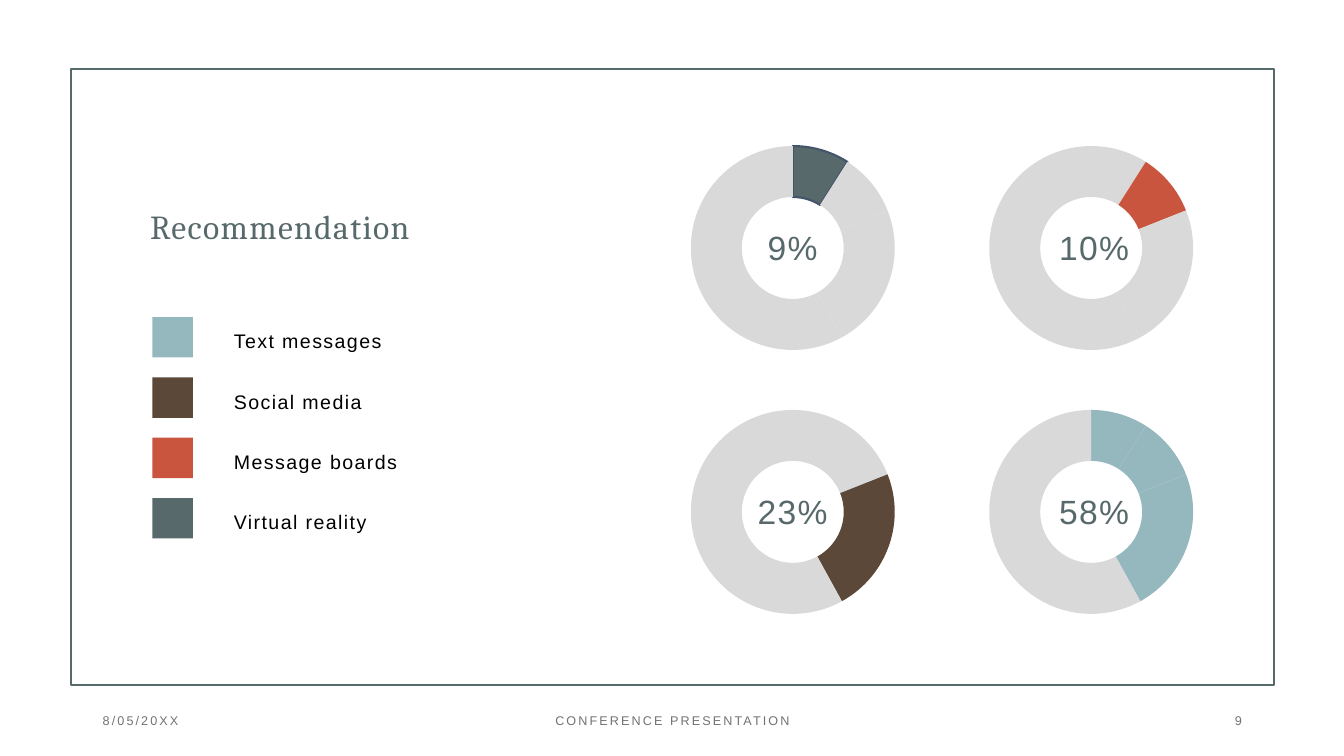
from dataclasses import dataclass

from lxml import etree
from pptx import Presentation
from pptx import util as u
from pptx.chart import data as chart_data
from pptx.dml.color import RGBColor
from pptx.enum import chart as charts, shapes, text
from pptx.oxml.ns import qn
from pptx.util import Cm


@dataclass(frozen=True)
class Theme:
    slate: str = "58696B"
    red: str = "CA553E"
    brown: str = "5B4839"
    blue: str = "95B8BF"
    track: str = "D9D9D9"
    edge: str = "44546A"
    black: str = "000000"
    footer: str = "767171"
    heading_font: str = "Cambria"
    body_font: str = "Arial"
    display_size: int = 24
    legend_size: int = 14
    footer_size: int = 9
    chart_size: int = 10


THEME = Theme()
LEFT, CENTER, RIGHT = text.PP_ALIGN.LEFT, text.PP_ALIGN.CENTER, text.PP_ALIGN.RIGHT
TOP, MIDDLE = text.MSO_ANCHOR.TOP, text.MSO_ANCHOR.MIDDLE
COMPARISON_LAYOUT = 4
SHARES = (9, 10, 23, 58)


def color(value):
    return RGBColor.from_string(value)


def place(shape, left, top, width, height):
    shape.left, shape.top = Cm(left), Cm(top)
    shape.width, shape.height = Cm(width), Cm(height)


def write(box, words, *, size, fill, font=THEME.body_font, align=LEFT,
          anchor=MIDDLE, line_spacing=1.0, tracking=1.0):
    """Fill a box with one formatted paragraph; tracking is in points."""
    frame = box.text_frame
    frame.word_wrap = True
    frame.auto_size = text.MSO_AUTO_SIZE.NONE
    frame.vertical_anchor = anchor
    para = frame.paragraphs[0]
    para.alignment = align
    para.line_spacing = line_spacing
    para.space_before = u.Pt(0)
    properties = para._p.get_or_add_pPr()
    properties.set("marL", "0")
    properties.set("indent", "0")
    etree.SubElement(properties, qn("a:buNone"))
    span = para.add_run()
    span.text = words
    span.font.name = font
    span.font.size = u.Pt(size)
    span.font.bold = False
    span.font.color.rgb = color(fill)
    span._r.get_or_add_rPr().set("spc", str(int(tracking * 100)))


def add_label(page, words, area, **style):
    box = page.shapes.add_textbox(*map(Cm, area))
    write(box, words, **style)


def add_rectangle(page, area, fill=None, line=None):
    shape = page.shapes.add_shape(shapes.MSO_SHAPE.RECTANGLE, *map(Cm, area))
    shape.shadow.inherit = False
    if fill:
        shape.fill.solid()
        shape.fill.fore_color.rgb = color(fill)
    else:
        shape.fill.background()
    if line:
        shape.line.color.rgb = color(line)
        shape.line.width = u.Pt(1.5)
    else:
        shape.line.fill.background()


def add_ring(page, area, fills, edged_point=None):
    """Draw the shares as a doughnut with one fill for each point."""
    values = chart_data.CategoryChartData()
    values.categories = ["1", "2", "3", "4"]
    values.add_series("Series 1", SHARES)
    chart = page.shapes.add_chart(
        charts.XL_CHART_TYPE.DOUGHNUT, *map(Cm, area), values).chart
    chart.has_legend = False
    chart.has_title = False
    chart.font.name = THEME.body_font
    chart.font.size = u.Pt(THEME.chart_size)
    chart.font.color.rgb = color(THEME.black)
    plot = chart.plots[0]
    plot.vary_by_categories = True
    plot._element.find(qn("c:holeSize")).set("val", "75")
    for index, fill in enumerate(fills):
        style = plot.series[0].points[index].format
        style.fill.solid()
        style.fill.fore_color.rgb = color(fill)
        if index == edged_point:
            style.line.color.rgb = color(THEME.edge)
            style.line.width = u.Pt(1.5)
        else:
            style.line.fill.background()


def add_legend(page, boxes):
    entries = (("Text messages", THEME.blue), ("Social media", THEME.brown),
               ("Message boards", THEME.red), ("Virtual reality", THEME.slate))
    for row, (box, (words, fill)) in enumerate(zip(boxes, entries)):
        offset = row * 1.52
        place(box, 5.64, 7.87 + offset, 4.95, 1.19)
        write(box, words, size=THEME.legend_size, fill=THEME.black,
              anchor=TOP, line_spacing=1.5)
        add_rectangle(page, (3.84, 7.99 + offset, 1.02, 1.02), fill=fill)


def add_rings(page):
    track = THEME.track
    rings = (("9%", (THEME.slate, track, track, track), 0),
             ("10%", (track, THEME.red, track, track), None),
             ("23%", (track, track, THEME.brown, track), None),
             ("58%", (THEME.blue, THEME.blue, THEME.blue, track), None))
    for index, (words, fills, edged_point) in enumerate(rings):
        row, column = divmod(index, 2)
        top = 3.33 + row * 6.65
        add_ring(page, (15.6 + column * 7.52, top, 8.76, 5.84), fills, edged_point)
        add_label(page, words, (17.5 + column * 7.6, top + 0.3, 4.95, 4.95),
                  size=THEME.display_size, fill=THEME.slate, align=CENTER,
                  line_spacing=1.25)


def add_footer(page):
    for words, left, width, align in (("8/05/20XX", 2.34, 7.62, LEFT),
                                      ("CONFERENCE PRESENTATION", 11.23, 11.43, CENTER),
                                      ("9", 23.93, 7.62, RIGHT)):
        add_label(page, words, (left, 17.65, width, 1.02), align=align,
                  size=THEME.footer_size, fill=THEME.footer, tracking=1.5)


def main():
    deck = Presentation()
    deck.slide_width, deck.slide_height = Cm(33.87), Cm(19.05)
    page = deck.slides.add_slide(deck.slide_layouts[COMPARISON_LAYOUT])
    title, *legend_boxes = page.placeholders
    add_rectangle(page, (1.78, 1.75, 30.33, 15.52), line=THEME.slate)
    place(title, 3.53, 3.81, 11.33, 3.53)
    write(title, "Recommendation", size=THEME.display_size, fill=THEME.slate,
          font=THEME.heading_font, line_spacing=1.25)
    add_legend(page, legend_boxes)
    add_rings(page)
    add_footer(page)
    deck.save("out.pptx")


if __name__ == "__main__":
    main()
